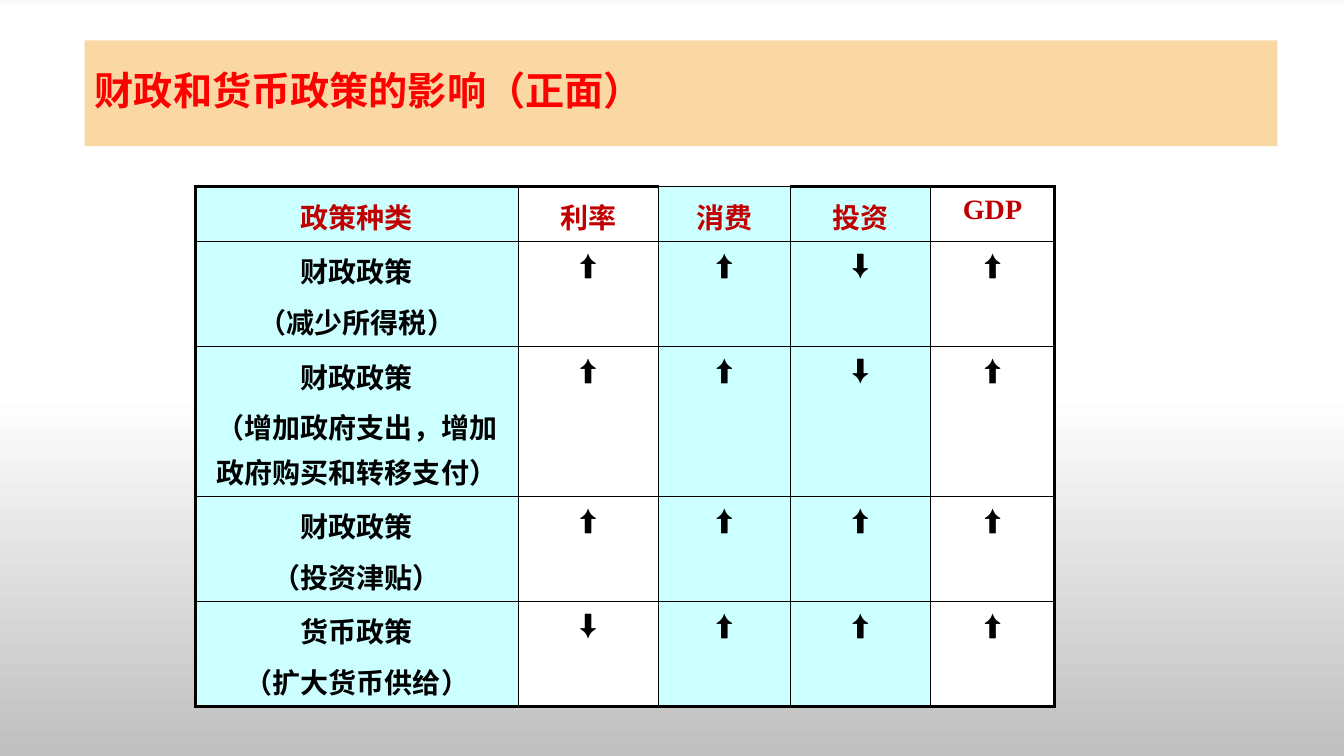
from dataclasses import dataclass

from lxml import etree
from pptx import Presentation
from pptx.dml.color import RGBColor
from pptx.enum.text import MSO_ANCHOR, MSO_AUTO_SIZE, PP_ALIGN
from pptx.oxml.ns import qn
from pptx.util import Inches, Pt

LEFT, CENTER = PP_ALIGN.LEFT, PP_ALIGN.CENTER
MIDDLE, TOP = MSO_ANCHOR.MIDDLE, MSO_ANCHOR.TOP
NO_AUTOFIT = MSO_AUTO_SIZE.NONE
TITLE_ONLY = 5

COLORS = {
    "title": "FF0000",
    "banner": "F9D8A3",
    "heading": "C00000",
    "ink": "000000",
    "shaded": "CCFFFF",
    "plain": "FFFFFF",
    "top": "F9F9F9",
    "bottom": "BFBFBF",
}
BACKDROP_STOPS = [(0, "top"), (1, "plain"), (52, "plain"), (100, "bottom")]
COLUMN_WIDTHS = [3.2, 1.39, 1.31, 1.39, 1.23]
COLUMN_FILLS = ["shaded", "plain", "shaded", "shaded", "plain"]
HEADINGS = ["政策种类", "利率", "消费", "投资", "GDP"]
CONSUMPTION = HEADINGS.index("消费")
THIN, THICK = 1, 2.25


@dataclass
class Policy:
    kind: str
    measure: str
    effects: str
    height: float = 0.99


POLICIES = [
    Policy("财政政策", "（减少所得税）", "⬆⬆⬇⬆"),
    Policy("财政政策", "（增加政府支出，增加政府购买和转移支付）", "⬆⬆⬇⬆", 1.4),
    Policy("财政政策", "（投资津贴）", "⬆⬆⬆⬆"),
    Policy("货币政策", "（扩大货币供给）", "⬇⬆⬆⬆"),
]


def rgb(name: str) -> RGBColor:
    return RGBColor.from_string(COLORS[name])


def write(frame, text: str, *, size: float, font: str, color: str, align,
          line_spacing: float, before_percent: int = 0) -> None:
    frame.text = text
    frame.word_wrap = True
    for paragraph in frame.paragraphs:
        paragraph.alignment = align
        paragraph.line_spacing = line_spacing
        before = etree.SubElement(paragraph._p.get_or_add_pPr(), qn("a:spcBef"))
        etree.SubElement(before, qn("a:spcPct"), val=str(before_percent * 1000))
        for run in paragraph.runs:
            run.font.size = Pt(size)
            run.font.name = font
            run.font.bold = True
            run.font.color.rgb = rgb(color)


def add_solid(parent, color: str) -> None:
    solid = etree.SubElement(parent, qn("a:solidFill"))
    etree.SubElement(solid, qn("a:srgbClr"), val=COLORS[color])


def set_borders(cell, widths: dict[str, float]) -> None:
    properties = cell._tc.get_or_add_tcPr()
    for side, width in widths.items():
        line = etree.SubElement(properties, qn(f"a:ln{side}"), w=str(Pt(width)))
        add_solid(line, "ink")


def paint_backdrop(slide) -> None:
    fill = slide.background.fill
    fill.gradient()
    fill.gradient_angle = 270
    stops = slide._element.find(".//" + qn("a:gsLst"))
    for stop in list(stops):
        stops.remove(stop)
    for percent, color in BACKDROP_STOPS:
        stop = etree.SubElement(stops, qn("a:gs"), pos=str(percent * 1000))
        etree.SubElement(stop, qn("a:srgbClr"), val=COLORS[color])


def add_effects_table(slide) -> None:
    rows = [HEADINGS] + [[f"{p.kind}\n{p.measure}", *p.effects] for p in POLICIES]
    heights = [0.49] + [policy.height for policy in POLICIES]
    effects = slide.shapes.add_table(
        len(rows), len(HEADINGS), Inches(1.94), Inches(1.85),
        Inches(sum(COLUMN_WIDTHS)), Inches(sum(heights))).table
    effects.first_row = False
    effects.horz_banding = False
    for column, width in zip(effects.columns, COLUMN_WIDTHS):
        column.width = Inches(width)
    for row, height in zip(effects.rows, heights):
        row.height = Inches(height)

    last_row, last_column = len(rows) - 1, len(HEADINGS) - 1
    for r, texts in enumerate(rows):
        for c, text in enumerate(texts):
            cell = effects.cell(r, c)
            thick_top = r == 0 and c != CONSUMPTION
            set_borders(cell, {
                "L": THICK if c == 0 else THIN,
                "R": THICK if c == last_column else THIN,
                "T": THICK if thick_top else THIN,
                "B": THICK if r == last_row else THIN,
            })
            cell.fill.solid()
            cell.fill.fore_color.rgb = rgb(COLUMN_FILLS[c])
            cell.margin_left = cell.margin_right = Inches(0.13)
            cell.margin_top = cell.margin_bottom = Inches(0.05)
            cell.vertical_anchor = TOP
            write(cell.text_frame, text, size=20, font="Times New Roman",
                  color="ink" if r else "heading", align=CENTER,
                  line_spacing=1.1, before_percent=20)


def add_title(slide) -> None:
    title = slide.shapes.title
    title.left, title.top = Inches(0.84), Inches(0.4)
    title.width, title.height = Inches(11.83), Inches(1.05)
    title.fill.solid()
    title.fill.fore_color.rgb = rgb("banner")
    title.text_frame.auto_size = NO_AUTOFIT
    title.text_frame.vertical_anchor = MIDDLE
    write(title.text_frame, "财政和货币政策的影响（正面）", size=28, font="Calibri",
          color="title", align=LEFT, line_spacing=0.9)


def main() -> None:
    presentation = Presentation()
    presentation.slide_width = Inches(13.33)
    presentation.slide_height = Inches(7.5)
    slide = presentation.slides.add_slide(presentation.slide_layouts[TITLE_ONLY])
    paint_backdrop(slide)
    add_effects_table(slide)
    add_title(slide)
    presentation.save("out.pptx")


if __name__ == "__main__":
    main()
